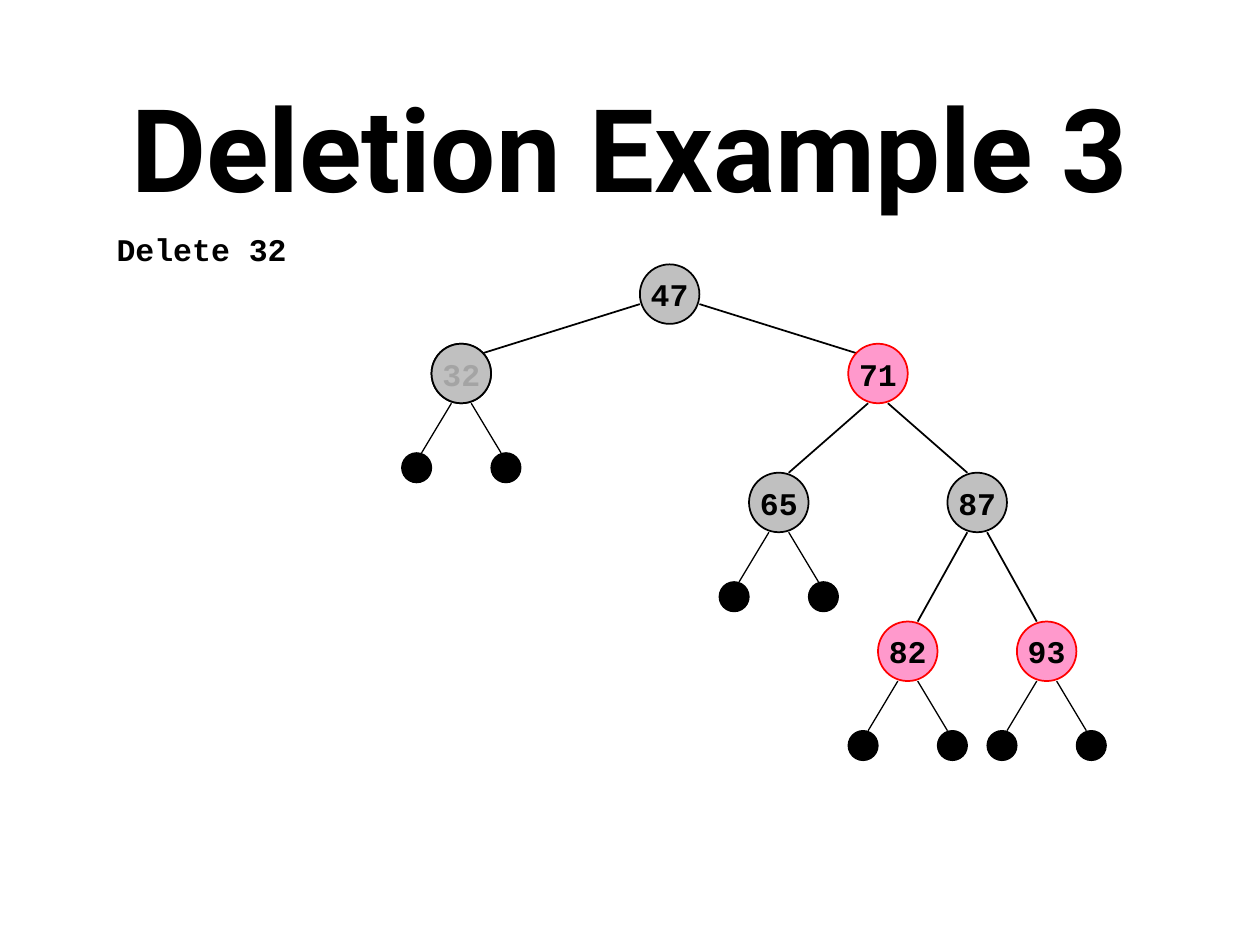
import pptx
import pptx.util
import pptx.dml.color
import pptx.enum.shapes
import pptx.enum.text
import pptx.oxml
import pptx.oxml.ns
from pptx.util import Cm

NODE = 1.2  # diameters in cm
LEAF = 0.6
BLACK, GREY, RED, PINK = "000000", "C0C0C0", "FF0000", "FF99CC"

# key: (centre x, top, is red, children), relative to the tree's box
TREE = {
    "47": (4.8, 0, False, ["32", "71"]),
    "32": (0.6, 1.6, False, []),
    "71": (9, 1.6, True, ["65", "87"]),
    "65": (7, 4.2, False, []),
    "87": (11, 4.2, False, ["82", "93"]),
    "82": (9.6, 7.2, True, []),
    "93": (12.4, 7.2, True, []),
}


def colour(value):
    return pptx.dml.color.RGBColor.from_string(value)


def add_run(para, text, font, size):
    span = para.add_run()
    span.text = text
    span.font.name = font
    span.font.size = pptx.util.Pt(size)
    span.font.bold = True
    span.font.color.rgb = colour(BLACK)


def add_circle(shapes, centre, top, size, fill, line, width):
    circle = shapes.add_shape(pptx.enum.shapes.MSO_SHAPE.OVAL,
                              Cm(centre - size / 2), Cm(top), Cm(size), Cm(size))
    circle.shadow.inherit = False
    circle.fill.solid()
    circle.fill.fore_color.rgb = colour(fill)
    circle.line.color.rgb = colour(line)
    circle.line.width = pptx.util.Pt(width)
    return circle


def add_edge(shapes, start, end, width):
    edge = shapes.add_connector(pptx.enum.shapes.MSO_CONNECTOR.STRAIGHT,
                                *(Cm(value) for value in (*start, *end)))
    edge.line.color.rgb = colour(BLACK)
    edge.line.width = pptx.util.Pt(width)
    properties = edge._element.spPr
    properties.append(pptx.oxml.parse_xml(
        f"<a:effectLst {pptx.oxml.ns.nsdecls('a')}/>"))


def add_label(shapes, text, left, top, width, height):
    box = shapes.add_textbox(Cm(left), Cm(top), Cm(width), Cm(height))
    frame = box.text_frame
    frame.word_wrap = True
    add_run(frame.paragraphs[0], text, "Courier New", 18)
    return frame


def add_node(page, key, centre, top, is_red):
    group = page.shapes.add_group_shape()
    fill, line = (PINK, RED) if is_red else (GREY, BLACK)
    add_circle(group.shapes, centre, top, NODE, fill, line, 1)
    frame = add_label(group.shapes, key, centre - NODE / 2, top + 0.22, NODE, 0.76)
    frame.margin_left = frame.margin_right = Cm(0.05)
    frame.margin_top = frame.margin_bottom = 0
    frame.vertical_anchor = pptx.enum.text.MSO_ANCHOR.MIDDLE
    frame.paragraphs[0].alignment = pptx.enum.text.PP_ALIGN.CENTER


def add_leaves(page, centre, top):
    leaf_top = top + 2.2
    for side in (-1, 1):
        group = page.shapes.add_group_shape()
        leaf_centre = centre + side * 0.9
        add_edge(group.shapes, (centre + side * 0.2, top + NODE),
                 (leaf_centre - side * 0.1, leaf_top), 0.75)
        add_circle(group.shapes, leaf_centre, leaf_top, LEAF, BLACK, BLACK, 0.75)


def add_tree(page, left, top):
    for key, (x, y, is_red, children) in TREE.items():
        centre, node_top = left + x, top + y
        add_node(page, key, centre, node_top, is_red)
        if not children:
            add_leaves(page, centre, node_top)
        for side, child in zip((-1, 1), children):
            child_x, child_y = left + TREE[child][0], top + TREE[child][1]
            if y == 0:  # the root's wide edges leave from its sides
                start = (centre + side * NODE / 2, node_top + 0.8)
                end = (child_x - side * 0.4, child_y + 0.2)
            else:
                start = (centre + side * 0.2, node_top + NODE)
                end = (child_x - side * 0.2, child_y)
            add_edge(page.shapes, start, end, 1)


def fade_node(page, key, left, top):
    """Cover a deleted node with a translucent circle."""
    x, y = TREE[key][:2]
    veil = add_circle(page.shapes, left + x, top + y, NODE, GREY, BLACK, 1)
    shade = veil._element.spPr.find(".//" + pptx.oxml.ns.qn("a:srgbClr"))
    shade.append(pptx.oxml.parse_xml(
        f"<a:alpha {pptx.oxml.ns.nsdecls('a')} val='86000'/>"))


def add_title(page, text, left, top, width, height):
    title = page.shapes.title
    title.left, title.top = Cm(left), Cm(top)
    title.width, title.height = Cm(width), Cm(height)
    frame = title.text_frame
    frame.word_wrap = True
    frame.auto_size = pptx.enum.text.MSO_AUTO_SIZE.NONE
    frame.vertical_anchor = pptx.enum.text.MSO_ANCHOR.MIDDLE
    frame.paragraphs[0].alignment = pptx.enum.text.PP_ALIGN.CENTER
    add_run(frame.paragraphs[0], text, "Roboto", 66)


def main():
    deck = pptx.Presentation()
    deck.slide_width, deck.slide_height = Cm(25.4), Cm(19.05)
    page = deck.slides.add_slide(deck.slide_layouts[5])

    # Heading and task
    add_title(page, "Deletion Example 3", 1.27, 1.35, 22.86, 3.18)
    add_label(page.shapes, "Delete 32", 2.1, 4.52, 6.6, 1.02)

    # Red-black tree
    tree_left, tree_top = 8.7, 5.33
    add_tree(page, tree_left, tree_top)
    fade_node(page, "32", tree_left, tree_top)

    deck.save("out.pptx")


if __name__ == "__main__":
    main()
